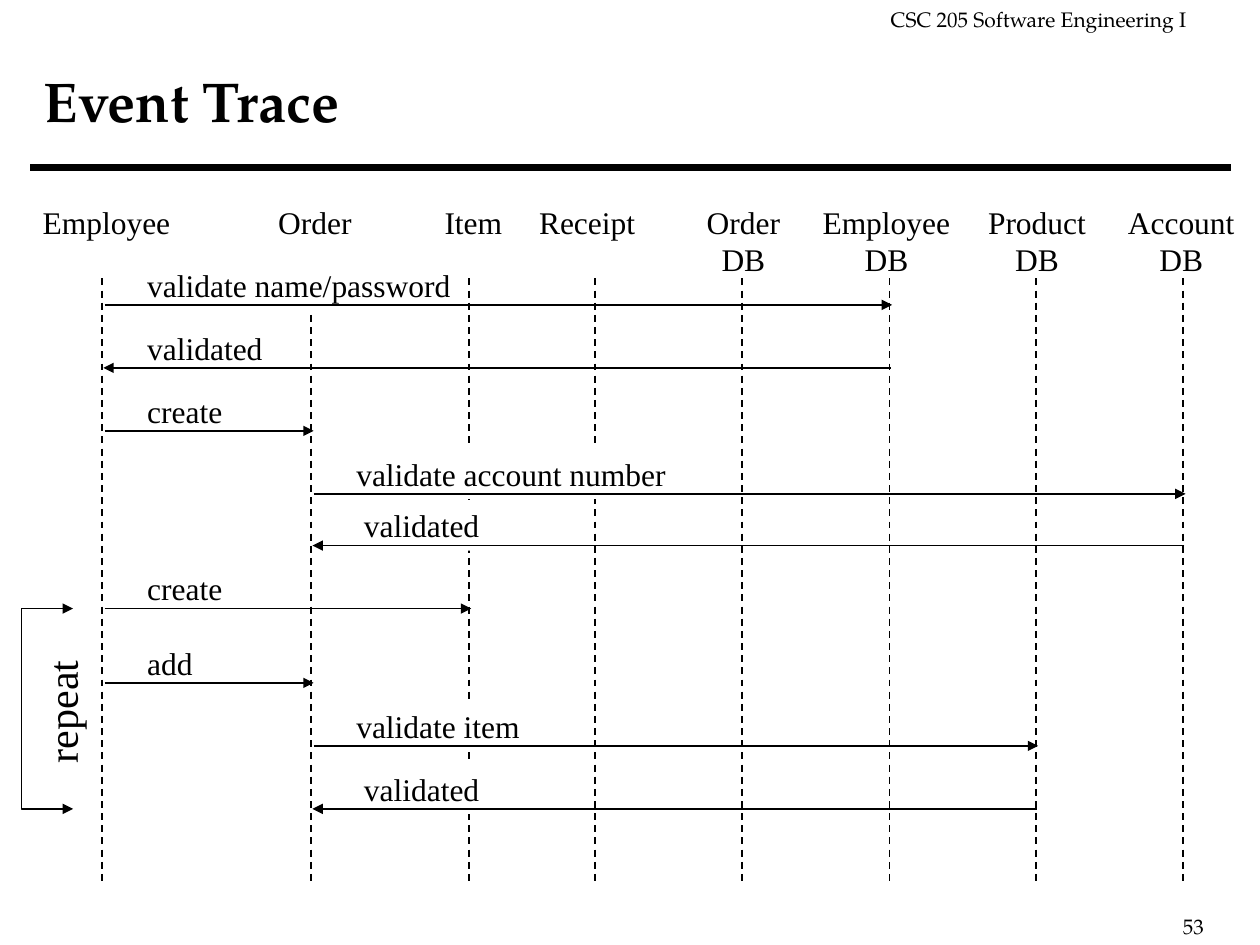
from lxml import etree
from pptx import Presentation
from pptx.dml.color import RGBColor
from pptx.enum.dml import MSO_LINE
from pptx.enum.shapes import MSO_CONNECTOR
from pptx.enum.text import MSO_ANCHOR, MSO_AUTO_SIZE, PP_ALIGN
from pptx.oxml.ns import qn
from pptx.util import Inches, Pt

STRAIGHT = MSO_CONNECTOR.STRAIGHT
DASH = MSO_LINE.DASH
MIDDLE = MSO_ANCHOR.MIDDLE
GROW, FIXED = MSO_AUTO_SIZE.SHAPE_TO_FIT_TEXT, MSO_AUTO_SIZE.NONE
LEFT, CENTER = PP_ALIGN.LEFT, PP_ALIGN.CENTER

COLORS = {"ink": "000000", "paper": "FFFFFF"}
HEADING_FONT, BODY_FONT = "TeX Gyre Pagella", "Times New Roman"

# Participants: name lines, lifeline x, heading left, heading width
PARTICIPANTS = {
    "employee": (["Employee"], 0.81, 0.24, 1.21),
    "order": (["Order"], 2.47, 2.11, 0.78),
    "item": (["Item"], 3.72, 3.43, 0.66),
    "receipt": (["Receipt"], 4.72, 4.18, 0.96),
    "order_db": (["Order", "DB"], 5.89, 5.51, 0.78),
    "employee_db": (["Employee", "DB"], 7.06, 6.43, 1.21),
    "product_db": (["Product", "DB"], 8.22, 7.74, 0.98),
    "account_db": (["Account", "DB"], 9.39, 8.85, 1.05),
}
# Messages: text, sender, receiver, arrow y, label left, label width
MESSAGES = [
    ("validate name/password", "employee", "employee_db", 2.42, 1.07, 2.61),
    ("validated", "employee_db", "employee", 2.92, 1.07, 1.11),
    ("create", "employee", "order", 3.42, 1.07, 0.8),
    ("validate account number", "order", "account_db", 3.92, 2.73, 2.66),
    ("validated", "account_db", "order", 4.33, 2.79, 1.11),
    ("create", "employee", "item", 4.83, 1.07, 0.8),
    ("add", "employee", "order", 5.42, 1.07, 0.56),
    ("validate item", "order", "product_db", 5.92, 2.73, 1.5),
    ("validated", "product_db", "order", 6.42, 2.79, 1.11),
]
HEADING_TOP, LIFELINE_TOP, LIFELINE_BOTTOM = 1.56, 2.21, 6.99
LABEL_RISE, LABEL_HEIGHT = 0.36, 0.4
ARROW_SHIFT = 0.02
REPEAT_LEFT, REPEAT_RIGHT, REPEAT_TOP, REPEAT_BOTTOM = 0.17, 0.58, 4.83, 6.42


def color(name):
    return RGBColor.from_string(COLORS[name])


def add_text(slide, lines, left, top, width, height, size=18, font=BODY_FONT,
             bold=False, align=LEFT, filled=False, wrap=False):
    shape = slide.shapes.add_textbox(
        Inches(left), Inches(top), Inches(width), Inches(height))
    if filled:
        shape.fill.solid()
        shape.fill.fore_color.rgb = color("paper")
    frame = shape.text_frame
    frame.word_wrap = wrap
    frame.auto_size = FIXED if wrap else GROW
    # A narrow right margin leaves each line room to stay unbroken
    frame.margin_right = Inches(0.05)
    frame.margin_left = Inches(0.05 if align == CENTER else 0.1)
    frame.text = "\n".join(lines)
    for paragraph in frame.paragraphs:
        paragraph.alignment = align
        paragraph.font.name = font
        paragraph.font.size = Pt(size)
        paragraph.font.bold = bold
        paragraph.font.color.rgb = color("ink")
    return shape


def style_line(shape, width=1, ends=()):
    shape.line.color.rgb = color("ink")
    shape.line.width = Pt(width)
    line = shape.line._get_or_add_ln()
    for end in ends:
        etree.SubElement(line, qn(f"a:{end}"), type="triangle")


def add_line(slide, x1, y1, x2, y2, width=1, ends=()):
    connector = slide.shapes.add_connector(
        STRAIGHT, Inches(x1), Inches(y1), Inches(x2), Inches(y2))
    style_line(connector, width, ends)
    etree.SubElement(connector._element.spPr, qn("a:effectLst"))
    return connector


presentation = Presentation()
presentation.slide_width, presentation.slide_height = Inches(10), Inches(7.5)
slide = presentation.slides.add_slide(presentation.slide_layouts[6])

# Course name, page number, rule and title
add_text(slide, ["CSC 205 Software Engineering I"], 6.97, 0, 2.55, 0.3,
         size=12, font=HEADING_FONT, filled=True)
add_text(slide, ["53"], 9.29, 7.2, 0.98, 0.3, size=12, font=HEADING_FONT)
add_line(slide, 0.24, 1.33, 9.77, 1.33, width=4)
title = add_text(slide, ["Event Trace"], 0.25, 0.17, 9.58, 1.25,
                 size=32, font=HEADING_FONT, bold=True, wrap=True)
title.text_frame.vertical_anchor = MIDDLE

# Participant headings and lifelines
for name_lines, x, left, width in PARTICIPANTS.values():
    add_text(slide, name_lines, left, HEADING_TOP, width, 0.1 + 0.3 * len(name_lines),
             align=CENTER if len(name_lines) > 1 else LEFT)
    lifeline = add_line(slide, x, LIFELINE_TOP, x, LIFELINE_BOTTOM)
    lifeline.line.dash_style = DASH

# Messages: a label on white above its arrow
for text, sender, receiver, y, left, width in MESSAGES:
    add_text(slide, [text], left, y - LABEL_RISE, width, LABEL_HEIGHT, filled=True)
    start, end = PARTICIPANTS[sender][1], PARTICIPANTS[receiver][1]
    shift = ARROW_SHIFT if start < end else ARROW_SHIFT / 2
    add_line(slide, start + shift, y, end + shift, y, ends=["tailEnd"])

# Bracket around the repeated messages
builder = slide.shapes.build_freeform(
    Inches(REPEAT_RIGHT), Inches(REPEAT_TOP))
builder.add_line_segments(
    [(Inches(x), Inches(y)) for x, y in (
        (REPEAT_LEFT, REPEAT_TOP), (REPEAT_LEFT, REPEAT_BOTTOM),
        (REPEAT_RIGHT, REPEAT_BOTTOM))], close=False)
bracket = builder.convert_to_shape()
bracket.shadow.inherit = False
bracket.fill.background()
style_line(bracket, ends=["headEnd", "tailEnd"])
repeat_label = add_text(slide, ["repeat"], -0.02, 5.4, 1.01, 0.5, size=24)
repeat_label.rotation = 270

presentation.save("out.pptx")
